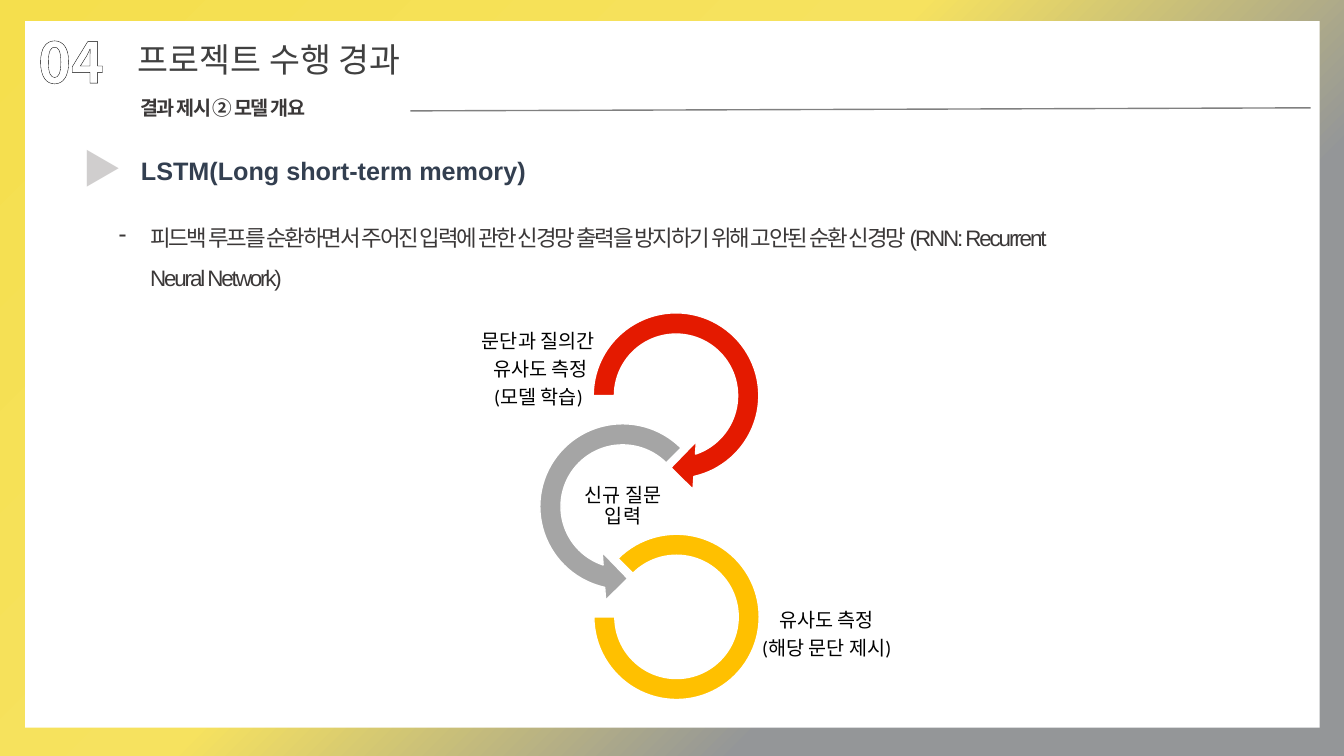
from dataclasses import dataclass, field
from typing import Any

from lxml import etree
from pptx import Presentation
from pptx.dml.color import RGBColor
from pptx.enum.dml import MSO_PATTERN
from pptx.enum.shapes import MSO_CONNECTOR, MSO_SHAPE
from pptx.enum.text import MSO_ANCHOR, MSO_AUTO_SIZE, PP_ALIGN
from pptx.oxml.ns import qn
from pptx.util import Pt

PX = 9144
CENTER = PP_ALIGN.CENTER
MIDDLE = MSO_ANCHOR.MIDDLE
GROW = MSO_AUTO_SIZE.SHAPE_TO_FIT_TEXT
FIXED = MSO_AUTO_SIZE.NONE
HATCH = MSO_PATTERN.DARK_UPWARD_DIAGONAL
RECTANGLE = MSO_SHAPE.RECTANGLE
RIGHT_LOOP = MSO_SHAPE.CIRCULAR_ARROW
LEFT_LOOP = MSO_SHAPE.LEFT_CIRCULAR_ARROW
LAST_LOOP = MSO_SHAPE.BLOCK_ARC
STRAIGHT = MSO_CONNECTOR.STRAIGHT

Box = tuple[int, int, int, int]


@dataclass(frozen=True)
class Theme:
    white: str = "FFFFFF"
    black: str = "000000"
    ink: str = "3B3838"
    title: str = "404040"
    heading: str = "333F50"
    rule: str = "808080"
    marker: str = "D0CECE"
    marker_edge: str = "939597"
    learn: str = "E41A00"
    ask: str = "A5A5A5"
    answer: str = "FFC000"
    backdrop: tuple = (
        (0, "F5DF4D", 100), (44, "F6E25F", 70),
        (71, "949698", 70), (100, "939597", 100),
    )
    latin: str = "Arial"
    label: str = "Calibri"
    korean: str = "Noto Sans CJK KR"
    number_size: int = 40
    marker_size: int = 28
    title_size: int = 24
    heading_size: int = 18
    body_size: int = 16
    small_size: int = 14


THEME = Theme()


@dataclass(frozen=True)
class Hatch:
    fore: str
    back: str
    edge: str
    width: float


@dataclass(frozen=True)
class Caption:
    box: Box
    lines: tuple[str, ...]
    size: int
    face: str
    color: str = THEME.black
    bold: bool = False
    spacing: float = 0
    hatch: Hatch | None = None
    bullet: str = ""
    indent: int = 0
    frame: dict[str, Any] = field(
        default_factory=lambda: {"word_wrap": True, "auto_size": GROW})
    paragraph: dict[str, Any] = field(default_factory=dict)


@dataclass(frozen=True)
class Loop:
    box: Box
    preset: Any
    color: str
    adjustments: tuple[float, ...]
    label_box: Box
    label: tuple[str, ...]


LABEL_FRAME = {
    "word_wrap": True, "auto_size": FIXED, "vertical_anchor": MIDDLE,
    "margin_left": PX, "margin_right": PX, "margin_top": PX, "margin_bottom": PX,
}
LABEL_PARAGRAPH = {"alignment": CENTER, "line_spacing": 0.9, "space_after": Pt(5)}

HEADING = Caption((130, 149, 903, 67), ("LSTM(Long short-term memory)",),
                  THEME.heading_size, THEME.latin, THEME.heading, True)
MARKER = Caption((72, 138, 55, 57), ("▶",), THEME.marker_size, THEME.korean, bold=True,
                 hatch=Hatch(THEME.marker_edge, THEME.marker, THEME.marker_edge, 1))
HEADER = (
    Caption((108, 204, 941, 86),
            ("피드백 루프를 순환하면서 주어진 입력에 관한 신경망 출력을 방지하기 위해 "
             "고안된 순환 신경망 (RNN: Recurrent Neural Network)",),
            THEME.body_size, THEME.latin, THEME.ink, spacing=-1.5,
            bullet="-", indent=31, paragraph={"line_spacing": 1.5}),
    Caption((129, 90, 305, 34), ("결과 제시 ② 모델 개요",),
            THEME.small_size, THEME.latin, THEME.ink, True, -1),
    Caption((28, 22, 127, 77), ("04",), THEME.number_size, THEME.korean, bold=True,
            hatch=Hatch(THEME.ink, THEME.white, THEME.black, 1.25)),
    Caption((127, 34, 323, 50), ("프로젝트 수행 경과",),
            THEME.title_size, THEME.korean, THEME.title,
            frame={"word_wrap": False, "auto_size": GROW}),
)
LOOPS = (
    Loop((575, 297, 191, 191), RIGHT_LOOP, THEME.learn, (0.11, 11.42, 45, 108, 0.125),
         (383, 341, 302, 53), ("문단과 질의간", " 유사도 측정", "(모델 학습)")),
    Loop((522, 407, 191, 191), LEFT_LOOP, THEME.ask, (0.11, 11.42, 63, 189, 0.125),
         (565, 476, 106, 53), ("신규 질문 입력",)),
    Loop((589, 530, 164, 164), LAST_LOOP, THEME.answer, (135, 108, 0.127),
         (706, 604, 228, 53), ("유사도 측정", "(해당 문단 제시)")),
)


def emu(lengths: tuple[int, ...]) -> list[int]:
    return [length * PX for length in lengths]


def rgb(color: str) -> RGBColor:
    return RGBColor.from_string(color)


def apply(target: Any, values: dict[str, Any]) -> None:
    for name, value in values.items():
        setattr(target, name, value)


def child(parent: Any, tag: str, **attributes: str) -> Any:
    return etree.SubElement(parent, qn(tag), attributes)


def draw_backdrop(slide: Any) -> None:
    fill = slide.background.fill
    fill.gradient()
    fill.gradient_angle = 315
    stops = next(slide.element.iter(qn("a:gsLst")))
    for stop in list(stops):
        stops.remove(stop)
    for position, color, opacity in THEME.backdrop:
        stop = child(stops, "a:gs", pos=str(position * 1000))
        tone = child(stop, "a:srgbClr", val=color)
        if opacity < 100:
            child(tone, "a:alpha", val=str(opacity * 1000))


def draw_shape(shapes: Any, preset: Any, box: Box, color: str, edge: str = "") -> Any:
    shape = shapes.add_shape(preset, *emu(box))
    shape.shadow.inherit = False
    shape.fill.solid()
    shape.fill.fore_color.rgb = rgb(color)
    if edge:
        shape.line.color.rgb = rgb(edge)
        shape.line.width = Pt(1)
    else:
        shape.line.fill.background()
    return shape


def draw_rule(shapes: Any) -> None:
    rule = shapes.add_connector(STRAIGHT, *emu((407, 110, 1300, 107)))
    rule.line.color.rgb = rgb(THEME.rule)
    rule.line.width = Pt(1)
    child(rule._element.spPr, "a:effectLst")


def paint_hatch(run: Any, hatch: Hatch) -> None:
    fill = run.font.fill
    fill.patterned()
    fill.pattern = HATCH
    fill.fore_color.rgb = rgb(hatch.fore)
    fill.back_color.rgb = rgb(hatch.back)
    outline = etree.Element(qn("a:ln"), w=str(Pt(hatch.width)))
    child(child(outline, "a:solidFill"), "a:srgbClr", val=hatch.edge)
    run._r.get_or_add_rPr().insert(0, outline)


def draw_caption(shapes: Any, caption: Caption) -> None:
    frame = shapes.add_textbox(*emu(caption.box)).text_frame
    apply(frame, caption.frame)
    for index, line in enumerate(caption.lines):
        paragraph = frame.add_paragraph() if index else frame.paragraphs[0]
        apply(paragraph, caption.paragraph)
        if caption.bullet:
            properties = paragraph._p.get_or_add_pPr()
            properties.set("marL", str(caption.indent * PX))
            properties.set("indent", str(-caption.indent * PX))
            child(properties, "a:buChar", char=caption.bullet)
        run = paragraph.add_run()
        run.text = line
        apply(run.font, {"size": Pt(caption.size), "bold": caption.bold,
                         "name": caption.face})
        if caption.hatch:
            paint_hatch(run, caption.hatch)
        else:
            run.font.color.rgb = rgb(caption.color)
        properties = run._r.get_or_add_rPr()
        child(properties, "a:ea", typeface=THEME.korean)
        if caption.spacing:
            properties.set("spc", str(int(caption.spacing * 100)))


def draw_loop(shapes: Any, loop: Loop) -> None:
    ring = draw_shape(shapes, loop.preset, loop.box, loop.color, THEME.white)
    for index, value in enumerate(loop.adjustments):
        ring.adjustments[index] = value
    draw_caption(shapes, Caption(loop.label_box, loop.label, THEME.small_size, THEME.label,
                                 frame=LABEL_FRAME, paragraph=LABEL_PARAGRAPH))


def main() -> None:
    deck = Presentation()
    apply(deck, {"slide_width": 1333 * PX, "slide_height": 750 * PX})
    slide = deck.slides.add_slide(deck.slide_layouts[6])
    draw_backdrop(slide)
    draw_shape(slide.shapes, RECTANGLE, (25, 21, 1284, 701), THEME.white)
    draw_caption(slide.shapes, HEADING)
    process = slide.shapes.add_group_shape()
    for loop in LOOPS:
        draw_loop(process.shapes, loop)
    draw_caption(slide.shapes, MARKER)
    draw_rule(slide.shapes)
    for caption in HEADER:
        draw_caption(slide.shapes, caption)
    deck.save("out.pptx")


if __name__ == "__main__":
    main()
